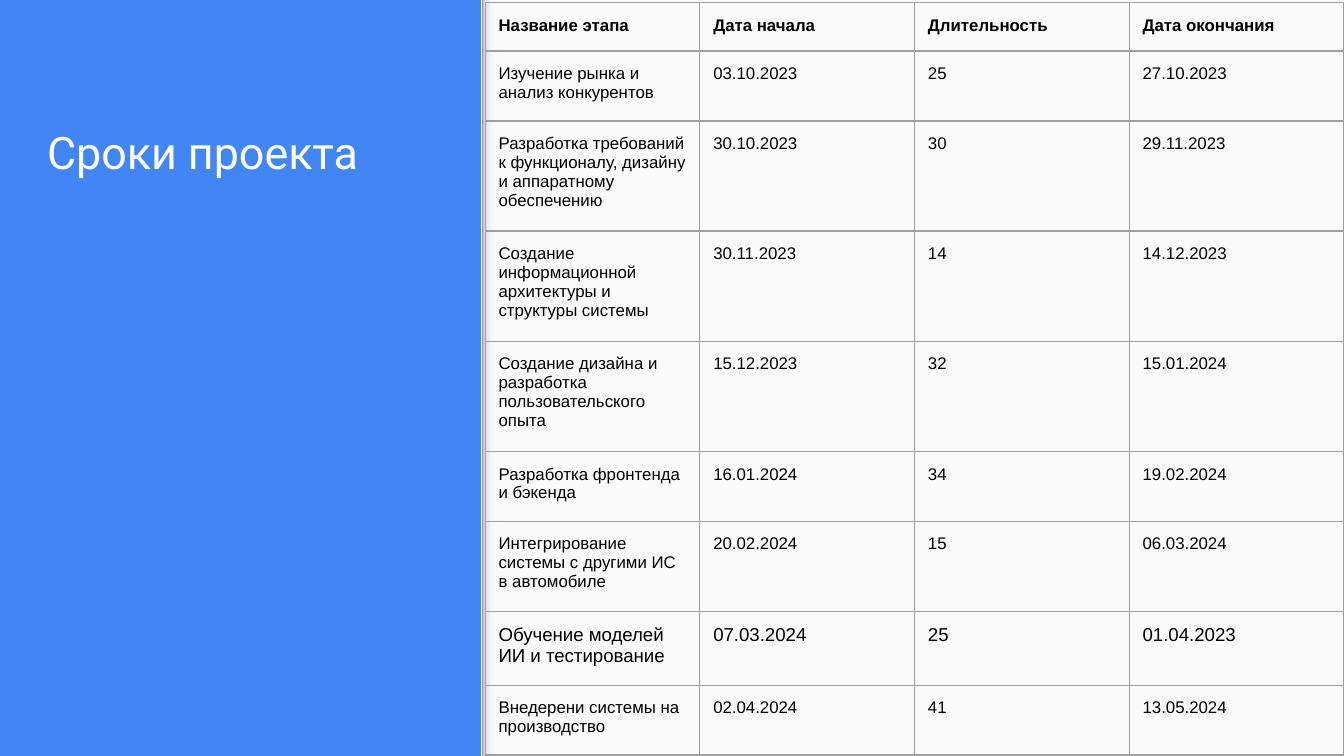
import pptx
import pptx.dml.color
import pptx.enum.shapes
import pptx.enum.text
import pptx.oxml
import pptx.oxml.ns
import pptx.util
from pptx.util import Inches


def color(hex_string):
    return pptx.dml.color.RGBColor.from_string(hex_string)


def format_text(frame, font, size, hex_string, bold=False):
    frame.word_wrap = True
    frame.margin_left = frame.margin_right = Inches(0.1)
    frame.margin_top = frame.margin_bottom = Inches(0.1)
    for run in frame.paragraphs[0].runs:
        run.font.name = font
        run.font.size = pptx.util.Pt(size)
        run.font.bold = bold
        run.font.color.rgb = color(hex_string)


NS = pptx.oxml.ns.nsdecls("a")
RECTANGLE = pptx.enum.shapes.MSO_SHAPE.RECTANGLE

# Widescreen slide, 16:9
presentation = pptx.Presentation()
presentation.slide_width = Inches(10)
presentation.slide_height = Inches(10 * 9 / 16)
slide = presentation.slides.add_slide(presentation.slide_layouts[5])
slide.background.fill.solid()
slide.background.fill.fore_color.rgb = color("4285F4")

# Light panel behind the schedule
panel = slide.shapes.add_shape(
    RECTANGLE, Inches(3.58), 0, Inches(6.42), presentation.slide_height)
panel.shadow.inherit = False
panel.fill.solid()
panel.fill.fore_color.rgb = color("FAFAFA")
panel.line.fill.background()

# Shaded edge of the panel: a horizontal bar turned upright
edge = slide.shapes.add_shape(
    RECTANGLE, Inches(0.83), Inches(2.75), presentation.slide_height, Inches(0.12))
edge.rotation = 270
edge.shadow.inherit = False
edge.line.fill.background()
stops = [(0, "F9F9F9"), (36, "F9F9F9"), (80, "DEDEDE"), (100, "999999")]
stops_xml = "".join(
    f'<a:gs pos="{percent * 1000}"><a:srgbClr val="{shade}"/></a:gs>'
    for percent, shade in stops)
edge_geometry = edge._element.spPr.find(pptx.oxml.ns.qn("a:prstGeom"))
edge_geometry.addnext(pptx.oxml.parse_xml(
    f'<a:gradFill {NS} rotWithShape="1"><a:gsLst>{stops_xml}</a:gsLst>'
    '<a:lin ang="16200000" scaled="0"/></a:gradFill>'))

# Title
title = slide.shapes.title
title.left, title.top = Inches(0.25), Inches(0.39)
title.width, title.height = Inches(3.07), Inches(1.04)
title.text_frame.text = "Сроки проекта"
title.text_frame.auto_size = pptx.enum.text.MSO_AUTO_SIZE.NONE
title.text_frame.vertical_anchor = pptx.enum.text.MSO_ANCHOR.BOTTOM
title.text_frame.paragraphs[0].alignment = pptx.enum.text.PP_ALIGN.LEFT
format_text(title.text_frame, "Roboto", 24, "FFFFFF")

# Schedule: row height, text size, then the four cells
stages = [
    (0.36, 9, "Название этапа", "Дата начала", "Длительность", "Дата окончания"),
    (0.52, 9, "Изучение рынка и анализ конкурентов",
     "03.10.2023", "25", "27.10.2023"),
    (0.82, 9, "Разработка требований к функционалу, дизайну и аппаратному обеспечению",
     "30.10.2023", "30", "29.11.2023"),
    (0.82, 9, "Создание информационной архитектуры и структуры системы",
     "30.11.2023", "14", "14.12.2023"),
    (0.82, 9, "Создание дизайна и разработка пользовательского опыта",
     "15.12.2023", "32", "15.01.2024"),
    (0.52, 9, "Разработка фронтенда и бэкенда",
     "16.01.2024", "34", "19.02.2024"),
    (0.67, 9, "Интегрирование системы с другими ИС в автомобиле",
     "20.02.2024", "15", "06.03.2024"),
    (0.55, 10, "Обучение моделей ИИ и тестирование",
     "07.03.2024", "25", "01.04.2023"),
    (0.52, 9, "Внедерени системы на производство",
     "02.04.2024", "41", "13.05.2024"),
]
schedule = slide.shapes.add_table(
    len(stages), 4, Inches(3.61), Inches(0.02), Inches(6.39), Inches(5.6)).table
schedule.horz_banding = False

for row, (height, size, *texts) in enumerate(stages):
    schedule.rows[row].height = Inches(height)
    for column, text in enumerate(texts):
        cell = schedule.cell(row, column)
        cell.text_frame.text = text
        format_text(cell.text_frame, "Arial", size, "000000", bold=row == 0)
        cell.margin_left = cell.margin_right = Inches(0.1)
        cell.margin_top = cell.margin_bottom = Inches(0.1)
        properties = cell._tc.get_or_add_tcPr()
        for side in ("lnL", "lnR", "lnT", "lnB"):
            properties.append(pptx.oxml.parse_xml(
                f'<a:{side} {NS} w="{pptx.util.Pt(0.75)}"><a:solidFill>'
                f'<a:srgbClr val="9E9E9E"/></a:solidFill></a:{side}>'))
        cell.fill.background()

presentation.save("out.pptx")
